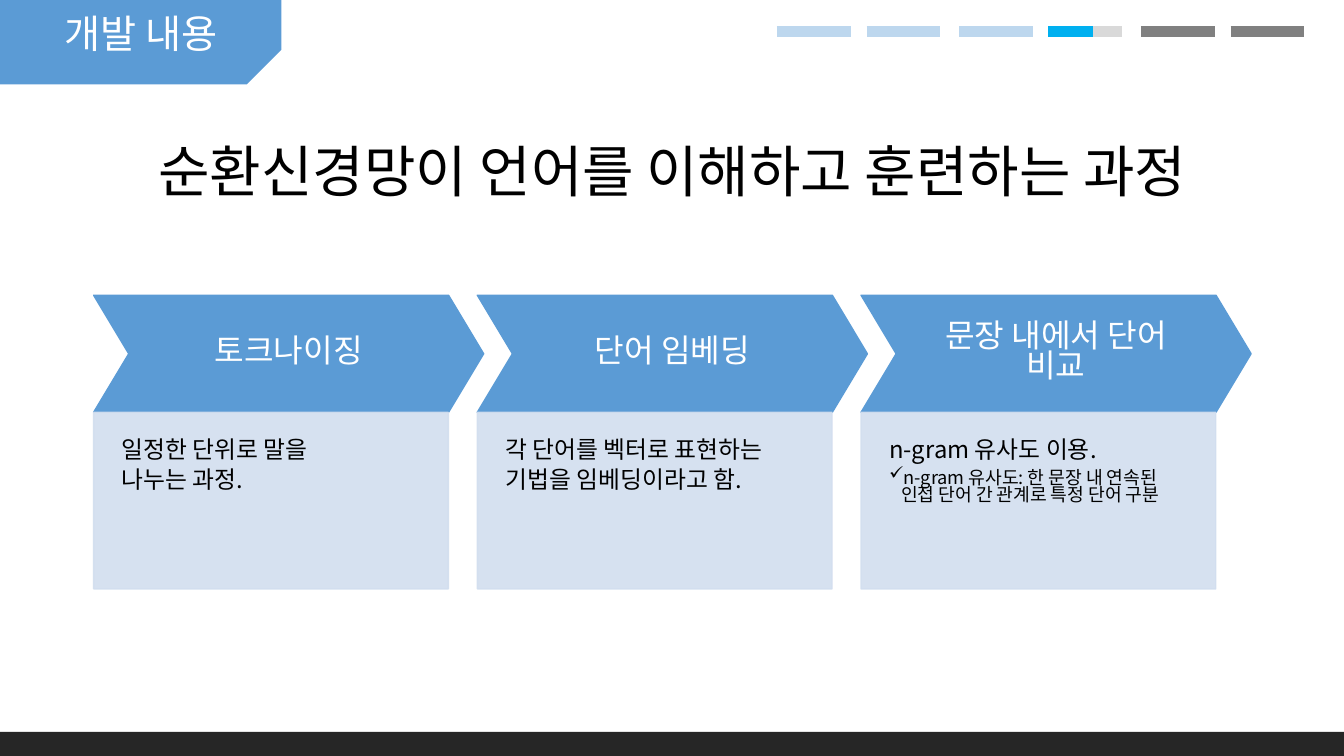
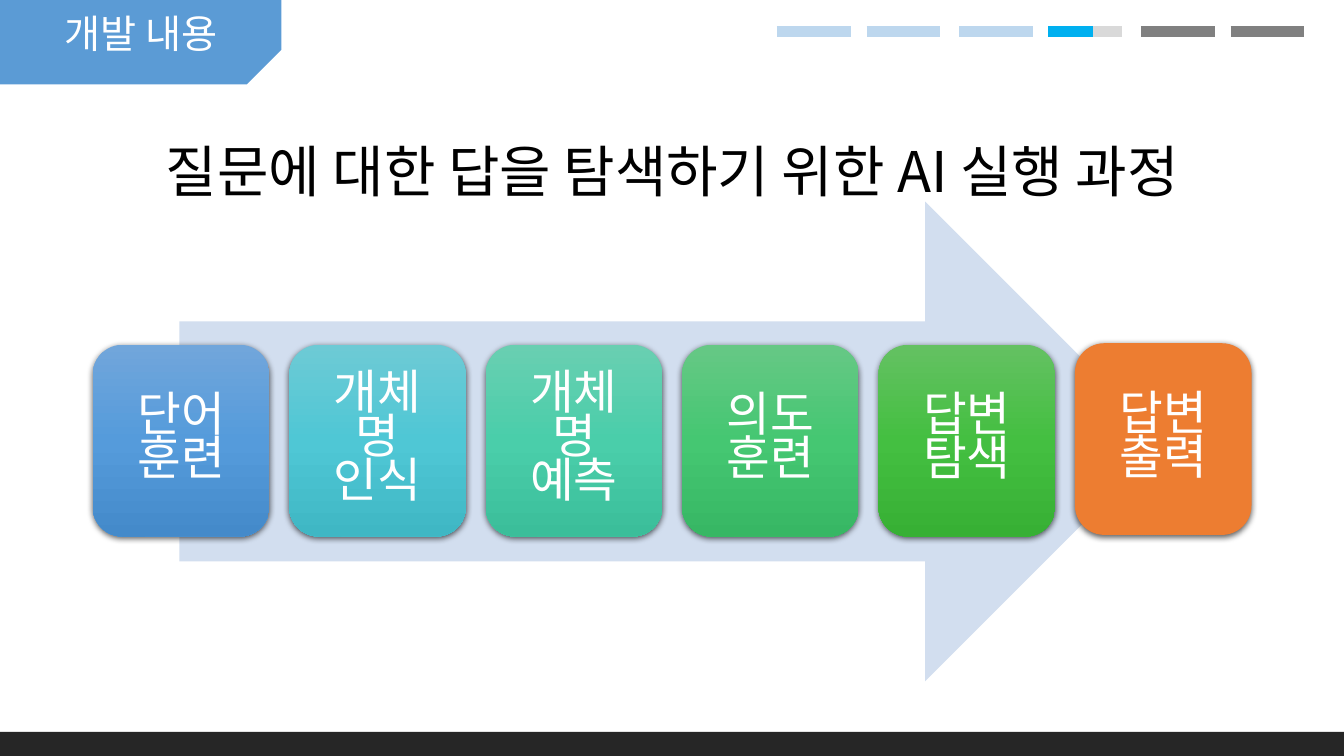
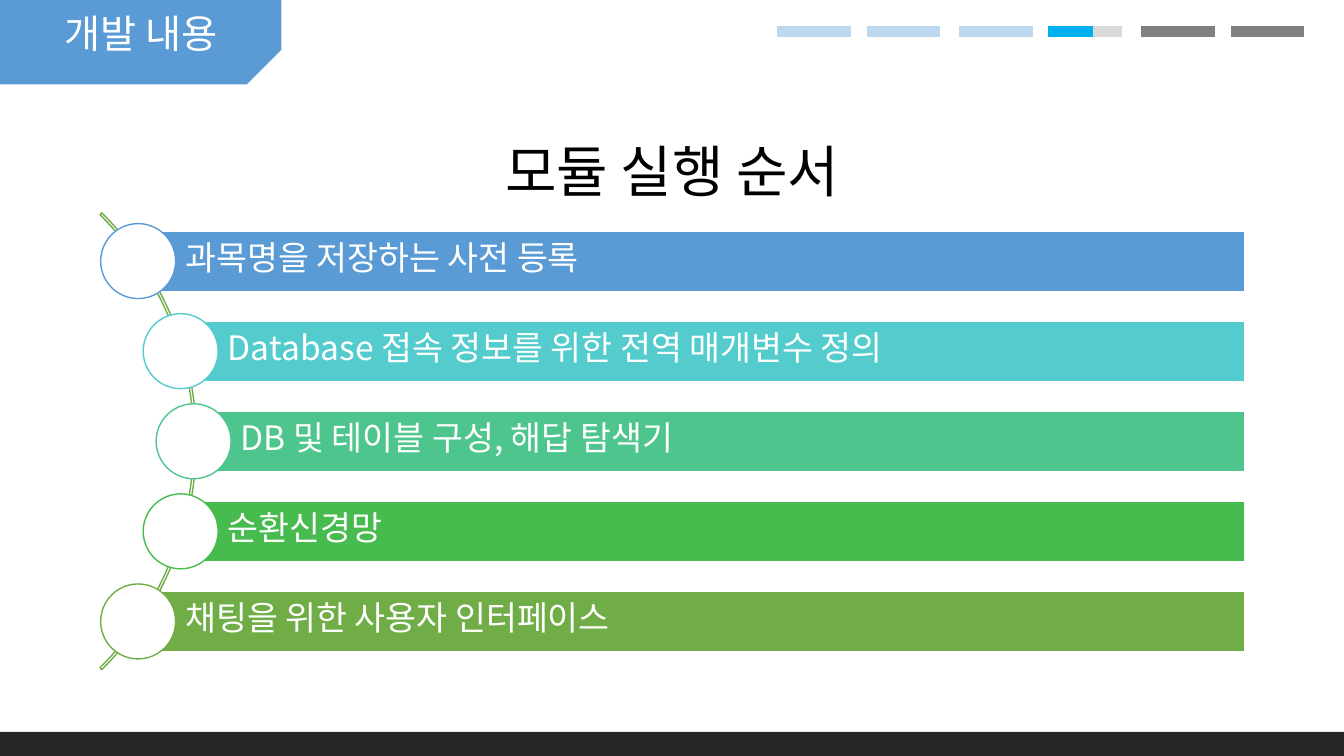
from copy import deepcopy
from dataclasses import dataclass
from math import sqrt

from lxml.etree import SubElement
from pptx import Presentation
from pptx.dml.color import RGBColor
from pptx.enum.shapes import MSO_CONNECTOR, MSO_SHAPE
from pptx.enum.text import MSO_ANCHOR, PP_ALIGN
from pptx.oxml.ns import qn
from pptx.util import Cm, Pt


@dataclass(frozen=True)
class Theme:
    """Colours, type sizes and line spacings of the deck."""
    font: str = "Noto Sans CJK KR"
    blue: str = "5B9BD5"
    pale: str = "D2DEEF"
    dark: str = "262626"
    white: str = "FFFFFF"
    black: str = "000000"
    orange: str = "ED7D31"
    green: str = "70AD47"
    done: str = "BDD7EE"
    now: str = "00B0F0"
    rest: str = "D9D9D9"
    todo: str = "808080"
    title: int = 40
    tile: int = 34
    tab: int = 28
    row: int = 24
    step: int = 23
    body: int = 17
    note: int = 13
    tight: float = 0.77
    loose: float = 0.84
    open: float = 0.9


T = Theme()
WIDE, HIGH = 33.87, 19.05


def shape(slide, kind, box, fill=None, line=None, adj=()):
    """Add a flat preset shape in a box given in centimetres."""
    item = slide.shapes.add_shape(kind, *map(Cm, box))
    item.shadow.inherit = False
    for i, value in enumerate(adj):
        item.adjustments[i] = value
    if fill:
        item.fill.solid()
        item.fill.fore_color.rgb = RGBColor.from_string(fill)
    else:
        item.fill.background()
    if line:
        item.line.color.rgb = RGBColor.from_string(line)
        item.line.width = Pt(1)
    else:
        item.line.fill.background()
    return item


def frame(item, pads, anchor=MSO_ANCHOR.MIDDLE):
    """Set wrapping, insets and anchor of a text frame."""
    area = item.text_frame
    area.word_wrap = True
    area.vertical_anchor = anchor
    sides = ("margin_left", "margin_top", "margin_right", "margin_bottom")
    for side, pad in zip(sides, pads):
        setattr(area, side, Cm(pad))
    return area


def write(para, text, size, color, align=PP_ALIGN.CENTER, space=T.tight):
    """Add one styled run to a paragraph."""
    para.alignment = align
    para.line_spacing = space
    run = para.add_run()
    run.text = text
    run.font.size = Pt(size)
    run.font.color.rgb = RGBColor.from_string(color)
    run.font.name = T.font
    SubElement(run.font._element, qn("a:ea"), typeface=T.font)


def label(slide, box, text, size, color, space, anchor):
    """Add a centred text box."""
    item = slide.shapes.add_textbox(*map(Cm, box))
    area = frame(item, (0.25, 0.13, 0.25, 0.13), anchor)
    write(area.paragraphs[0], text, size, color, space=space)


def bar(slide, left, top, width, color):
    """Add one thick dash of the progress strip."""
    item = slide.shapes.add_connector(
        MSO_CONNECTOR.STRAIGHT, Cm(left), Cm(top), Cm(left + width), Cm(top))
    item.line.color.rgb = RGBColor.from_string(color)
    item.line.width = Pt(8.25)
    SubElement(item._element.spPr, qn("a:effectLst"))


def strip(slide, left, top):
    """Draw the progress strip."""
    dashes = ((0, T.done), (2.26, T.done), (4.6, T.done),
              (6.84, T.rest), (9.17, T.todo), (11.43, T.todo))
    for shift, color in dashes:
        bar(slide, left + shift, top, 1.86, color)
    bar(slide, left + 6.84, top, 1.13, T.now)


def base(deck, title):
    """Add a slide with its tab, strip, title and bottom band."""
    slide = deck.slides.add_slide(deck.slide_layouts[6])
    tab = shape(slide, MSO_SHAPE.SNIP_1_RECTANGLE, (0, 0, 7.09, 2.13),
                T.blue, adj=(0.41,))
    tab._element.spPr.xfrm.set("flipV", "1")
    shape(slide, MSO_SHAPE.RECTANGLE, (0, 18.44, WIDE, HIGH - 18.44), T.dark)
    strip(slide, 19.58, 0.79)
    label(slide, (0.41, 0.25, 6.3, 1.45), "개발 내용", T.tab, T.white,
          T.open, MSO_ANCHOR.TOP)
    label(slide, (2.34, 2.84, 29.21, 3.15), title, T.title, T.black,
          T.loose, MSO_ANCHOR.MIDDLE)
    return slide


def tick(para):
    """Give a paragraph a hanging tick."""
    props = para._p.get_or_add_pPr()
    props.set("marL", str(Cm(0.3)))
    props.set("indent", str(-Cm(0.3)))
    SubElement(props, qn("a:buChar"), char="✓")


def step(slide, box, head, lines, note):
    """Draw a chevron with its text panel below."""
    left, top, width, height = box
    cap = 2.95
    arrow = shape(slide, MSO_SHAPE.CHEVRON, (left, top, width, cap),
                  T.blue, T.blue, (0.3,))
    area = frame(arrow, (0.6, 0.36, 0.6, 0.36))
    write(area.paragraphs[0], head, T.step, T.white)
    panel = shape(slide, MSO_SHAPE.RECTANGLE,
                  (left, top + cap, width - 0.89, height - cap), T.pale, T.pale)
    for color in panel._element.spPr.iter(qn("a:srgbClr")):
        SubElement(color, qn("a:alpha"), val="90000")
    area = frame(panel, (0.71, 0.71, 0.71, 1.42), MSO_ANCHOR.TOP)
    texts = [(line, T.body) for line in lines]
    if note:
        texts.append((note, T.note))
    for i, (text, size) in enumerate(texts):
        para = area.add_paragraph() if i else area.paragraphs[0]
        write(para, text, size, T.black, PP_ALIGN.LEFT)
        para.space_after = Pt(size * 0.35)
        if size == T.note:
            tick(para)


def steps(slide, left, top):
    """Lay out the three training steps."""
    items = (
        ("토크나이징", ("일정한 단위로 말을", "나누는 과정."), None),
        ("단어 임베딩", ("각 단어를 벡터로 표현하는", "기법을 임베딩이라고 함."), None),
        ("문장 내에서 단어 비교", ("n-gram 유사도 이용.",),
         "n-gram 유사도: 한 문장 내 연속된 인접 단어 간 관계로 특정 단어 구분"),
    )
    for i, item in enumerate(items):
        step(slide, (left + i * 9.67, top, 9.83, 7.4), *item)


def blend(item, colors):
    """Fill a shape with an even gradient from top to bottom."""
    item.fill.gradient()
    item.fill.gradient_angle = 270
    stops = item._element.spPr.find(qn("a:gradFill")).find(qn("a:gsLst"))
    stops.append(deepcopy(stops[-1]))
    for i, stop in enumerate(item.fill.gradient_stops):
        stop.position = i / 2
        stop.color.rgb = RGBColor.from_string(colors[i])


def shade(item):
    """Give a shape a soft shadow below."""
    effects = item._element.spPr.find(qn("a:effectLst"))
    outer = SubElement(effects, qn("a:outerShdw"), blurRad=str(Pt(4.5)),
                       dist=str(Pt(1.5)), dir="5400000", algn="ctr",
                       rotWithShape="0")
    color = SubElement(outer, qn("a:srgbClr"), val=T.black)
    SubElement(color, qn("a:alpha"), val="63000")


def tiles(slide, left, top):
    """Draw the big arrow and the six stages on it."""
    shape(slide, MSO_SHAPE.RIGHT_ARROW,
          (left + 2.18, top - 3.61, 24.84, 12.09), T.pale)
    items = (
        ("단어 훈련", ("71A6DB", "559BDB", "448ACA")),
        ("개체명 인식", ("6DCAD5", "4FC7D5", "3FB7C4")),
        ("개체명 예측", ("69CFB1", "4ACEAA", "3BBE9A")),
        ("의도 훈련", ("66C885", "45C772", "37B764")),
        ("답변 탐색", ("64C162", "44BF41", "37B034")),
        ("답변 출력", None),
    )
    for i, (text, colors) in enumerate(items):
        lift = 0 if colors else 0.04
        tile = shape(slide, MSO_SHAPE.ROUNDED_RECTANGLE,
                     (left + i * 4.95, top - lift, 4.45, 4.83), T.orange)
        if colors:
            blend(tile, colors)
        shade(tile)
        area = frame(tile, (0.39, 0.36, 0.39, 0.36))
        write(area.paragraphs[0], text, T.tile, T.white)


def rows(slide, top, right):
    """Draw the module rows with discs along an arc."""
    items = (
        ("과목명을 저장하는 사전 등록", T.blue),
        ("Database 접속 정보를 위한 전역 매개변수 정의", "54CCCD"),
        ("DB 및 테이블 구성, 해답 탐색기", "4DC58D"),
        ("순환신경망", "48BB4F"),
        ("채팅을 위한 사용자 인터페이스", T.green),
    )
    gap, high, disc = 2.27, 1.52, 1.89
    hub, size, reach = -3.19, 16.28, 8.07
    mid = top + 2 * gap + high / 2
    shape(slide, MSO_SHAPE.BLOCK_ARC,
          (hub - size / 2, mid - size / 2, size, size),
          line=T.green, adj=(189, 27, 0.004))
    for i, (text, color) in enumerate(items):
        left = hub + sqrt(reach ** 2 - ((i - 2) * gap) ** 2)
        y = top + i * gap
        row = shape(slide, MSO_SHAPE.RECTANGLE,
                    (left, y, right - left, high), color, T.white)
        area = frame(row, (1.19, 0.18, 0.18, 0.18))
        write(area.paragraphs[0], text, T.row, T.white, PP_ALIGN.LEFT)
        shape(slide, MSO_SHAPE.OVAL,
              (left - disc / 2, y + (high - disc) / 2, disc, disc),
              T.white, color)


def main():
    """Build and save the deck."""
    deck = Presentation()
    deck.slide_width, deck.slide_height = Cm(WIDE), Cm(HIGH)
    steps(base(deck, "순환신경망이 언어를 이해하고 훈련하는 과정"), 2.36, 7.44)
    tiles(base(deck, "질문에 대한 답을 탐색하기 위한 AI 실행 과정"), 2.34, 8.69)
    rows(base(deck, "모듈 실행 순서"), 5.82, 31.38)
    deck.save("out.pptx")


if __name__ == "__main__":
    main()
